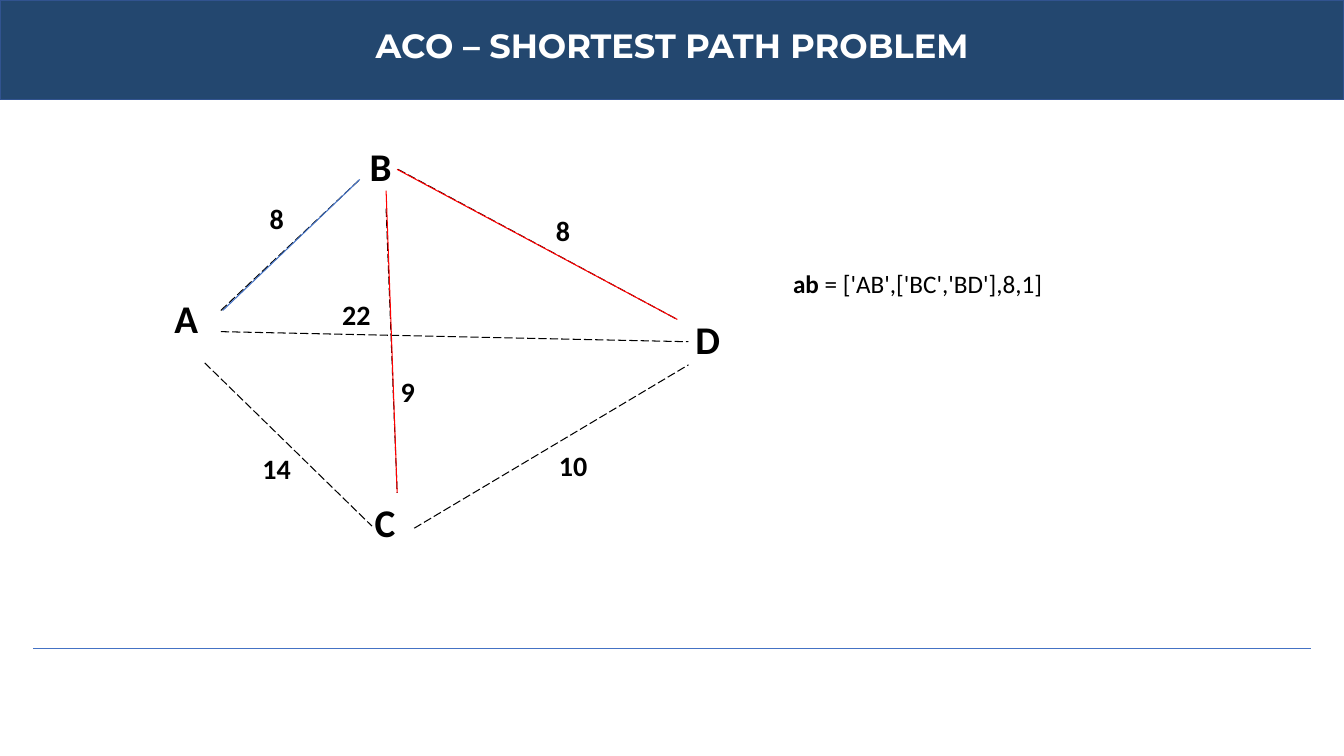
"""Build the slide on the ACO shortest path problem."""
from lxml import etree
from pptx import Presentation
from pptx.dml.color import RGBColor
from pptx.enum.dml import MSO_LINE
from pptx.enum.shapes import MSO_CONNECTOR, MSO_SHAPE
from pptx.enum.text import PP_ALIGN
from pptx.oxml.ns import qn
from pptx.util import Pt

NAVY = RGBColor(0x23, 0x47, 0x6F)
NAVY_EDGE = RGBColor(0x31, 0x53, 0x8F)
BLUE = RGBColor(0x44, 0x72, 0xC4)
RED = RGBColor(0xFF, 0x00, 0x00)
BLACK = RGBColor(0x00, 0x00, 0x00)
WHITE = RGBColor(0xFF, 0xFF, 0xFF)

LEFT, CENTER = PP_ALIGN.LEFT, PP_ALIGN.CENTER
LONG_DASH = MSO_LINE.LONG_DASH
STRAIGHT = MSO_CONNECTOR.STRAIGHT
RECTANGLE = MSO_SHAPE.RECTANGLE

SLIDE_WIDTH, SLIDE_HEIGHT = 960, 540
TITLE = {"name": "Montserrat", "size": Pt(24), "bold": True}
NODE = {"name": "Calibri", "size": Pt(28), "bold": True}
WEIGHT = {"name": "Calibri", "size": Pt(20), "bold": True}
FORMULA = {"name": "Calibri", "size": Pt(18), "bold": False}
FORMULA_NAME = {**FORMULA, "bold": True}

NODES = {"A": (0.4, 108.6), "B": (140, 0), "C": (143.6, 254.1), "D": (372.6, 123.8)}
NODE_SIZE = (50, 60.5)
WEIGHTS = [
    ("8", 62.3, 42.4),
    ("14", 62.3, 221),
    ("22", 119.2, 110.8),
    ("8", 266.8, 51),
    ("10", 274, 218.8),
    ("9", 155.9, 166.2),
]
WEIGHT_SIZE = (36.7, 31.5)
ALL_EDGES = [
    (167.4, 23, 366.8, 130.2),
    (40.7, 123.8, 140, 30.2),
    (178.9, 279.3, 374.8, 162.6),
    (29.2, 161.2, 148.7, 277.8),
    (158.8, 51, 166.7, 254.1),
    (40.7, 138.9, 374.8, 146.1),
]
ACTIVE_EDGES = [
    (BLUE, 42.1, 123.8, 140, 30.2),
    (RED, 166.7, 254.1, 158.8, 38.1),
    (RED, 366.8, 130.2, 166.7, 23),
]


def add_text(slide, box, runs, color=BLACK, align=LEFT):
    """Write one paragraph of formatted runs in a box given in points."""
    frame = slide.shapes.add_textbox(*map(Pt, box)).text_frame
    frame.word_wrap = True
    paragraph = frame.paragraphs[0]
    paragraph.alignment = align
    for text, formats in runs:
        run = paragraph.add_run()
        run.text = text
        run.font.color.rgb = color
        for attribute, value in formats.items():
            setattr(run.font, attribute, value)


def add_line(slide, ends, color, dash=None):
    """Draw a thin straight line between two points."""
    connector = slide.shapes.add_connector(STRAIGHT, *map(Pt, ends))
    connector.line.color.rgb = color
    connector.line.width = Pt(0.75)
    if dash is not None:
        connector.line.dash_style = dash
    etree.SubElement(connector._element.spPr, qn("a:effectLst"))


def add_header(slide, left, top, width, height):
    """Draw the title band with its centred heading."""
    band = slide.shapes.add_shape(RECTANGLE, *map(Pt, (left, top, width, height)))
    band.shadow.inherit = False
    band.fill.solid()
    band.fill.fore_color.rgb = NAVY
    band.line.color.rgb = NAVY_EDGE
    band.line.width = Pt(1)
    heading_box = (left + 182, top + 14.4, width - 364, 36)
    add_text(slide, heading_box, [("ACO – SHORTEST PATH PROBLEM", TITLE)], WHITE, CENTER)


def add_graph(slide, left, top):
    """Draw the weighted graph with its active edges on top."""
    for name, (x, y) in NODES.items():
        add_text(slide, (left + x, top + y, *NODE_SIZE), [(name, NODE)])
    edges = [(BLACK, *ends, LONG_DASH) for ends in ALL_EDGES]
    edges += [(*edge, None) for edge in ACTIVE_EDGES]
    for color, x1, y1, x2, y2, dash in edges:
        add_line(slide, (left + x1, top + y1, left + x2, top + y2), color, dash)
    for weight, x, y in WEIGHTS:
        box = (left + x, top + y, *WEIGHT_SIZE)
        add_text(slide, box, [(weight, WEIGHT)], align=CENTER)


def add_formula(slide, *box):
    """Write the definition of the edge ab."""
    add_text(slide, box, [("ab", FORMULA_NAME), (" = ['AB',['BC','BD'],8,1]", FORMULA)])


def add_footer(slide, left, top, width):
    """Draw the rule above the footer."""
    add_line(slide, (left, top, left + width, top), BLUE)


def main():
    """Assemble and save the slide."""
    presentation = Presentation()
    presentation.slide_width = Pt(SLIDE_WIDTH)
    presentation.slide_height = Pt(SLIDE_HEIGHT)
    slide = presentation.slides.add_slide(presentation.slide_layouts[6])
    add_header(slide, 0, 0, SLIDE_WIDTH, 71)
    add_footer(slide, 23.8, 463, 912.9)
    add_formula(slide, 559.4, 187.9, 211.7, 29)
    add_graph(slide, 117, 98)
    presentation.save("out.pptx")


if __name__ == "__main__":
    main()
